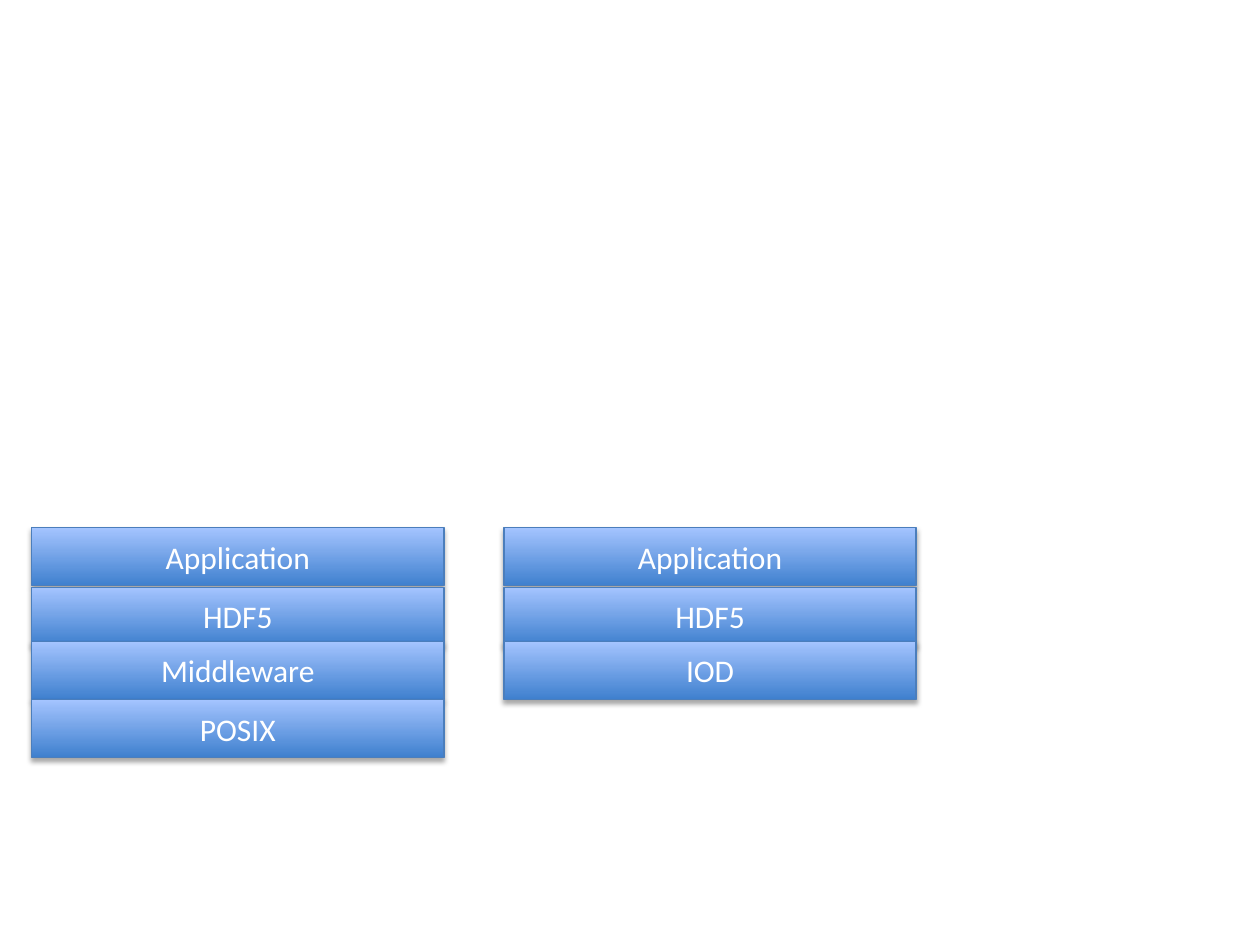
from lxml.etree import SubElement
from pptx import Presentation
from pptx.dml.color import RGBColor
from pptx.enum.shapes import MSO_SHAPE
from pptx.enum.text import MSO_ANCHOR, PP_ALIGN
from pptx.oxml.ns import qn
from pptx.util import Cm, Pt

LAYER_W, LAYER_H = 8.31, 1.17
LAYER_TOPS = [10.64, 11.84, 12.93, 14.1]
GRADIENT = ["3F80CE", "A4C4FF"]
LINE = "4B7EBC"
FONT = {"name": "Calibri", "size": Pt(18)}
SHADOW = {"blurRad": Pt(3.1), "dist": Pt(1.8), "dir": 90 * 60000, "rotWithShape": 0}

# Left edge and layers of each stack, top layer first
STACKS = [
    (10.16, ["Application", "HDF5", "IOD"]),
    (0.64, ["Application", "HDF5", "Middleware", "POSIX"]),
]


def color(value):
    return RGBColor.from_string(value)


def add_shadow(sp):
    sp.shadow.inherit = False
    effects = sp._element.spPr.find(qn("a:effectLst"))
    shadow = SubElement(effects, qn("a:outerShdw"))
    for name, value in SHADOW.items():
        shadow.set(name, str(int(value)))
    clr = SubElement(shadow, qn("a:srgbClr"), val="000000")
    SubElement(clr, qn("a:alpha"), val="35000")


def set_text(sp, text):
    tf = sp.text_frame
    tf.word_wrap = True
    tf.vertical_anchor = MSO_ANCHOR.MIDDLE
    p = tf.paragraphs[0]
    p.alignment = PP_ALIGN.CENTER
    r = p.add_run()
    r.text = text
    for name, value in FONT.items():
        setattr(r.font, name, value)
    r.font.color.rgb = color("FFFFFF")


def add_layer(s, left, top, text):
    sp = s.shapes.add_shape(MSO_SHAPE.RECTANGLE, Cm(left), Cm(top),
                            Cm(LAYER_W), Cm(LAYER_H))
    # Dark at the bottom, light at the top
    sp.fill.gradient()
    sp.fill.gradient_angle = 90
    for stop, position, value in zip(sp.fill.gradient_stops, (0, 1), GRADIENT):
        stop.position = position
        stop.color.rgb = color(value)
    sp.line.color.rgb = color(LINE)
    sp.line.width = Pt(0.75)
    add_shadow(sp)
    set_text(sp, text)


def add_stack(s, left, layers):
    for top, text in zip(LAYER_TOPS, layers):
        add_layer(s, left, top, text)


def main():
    prs = Presentation()
    prs.slide_width, prs.slide_height = Cm(25.4), Cm(19.05)
    s = prs.slides.add_slide(prs.slide_layouts[6])
    for left, layers in STACKS:
        add_stack(s, left, layers)
    prs.save("out.pptx")


if __name__ == "__main__":
    main()
